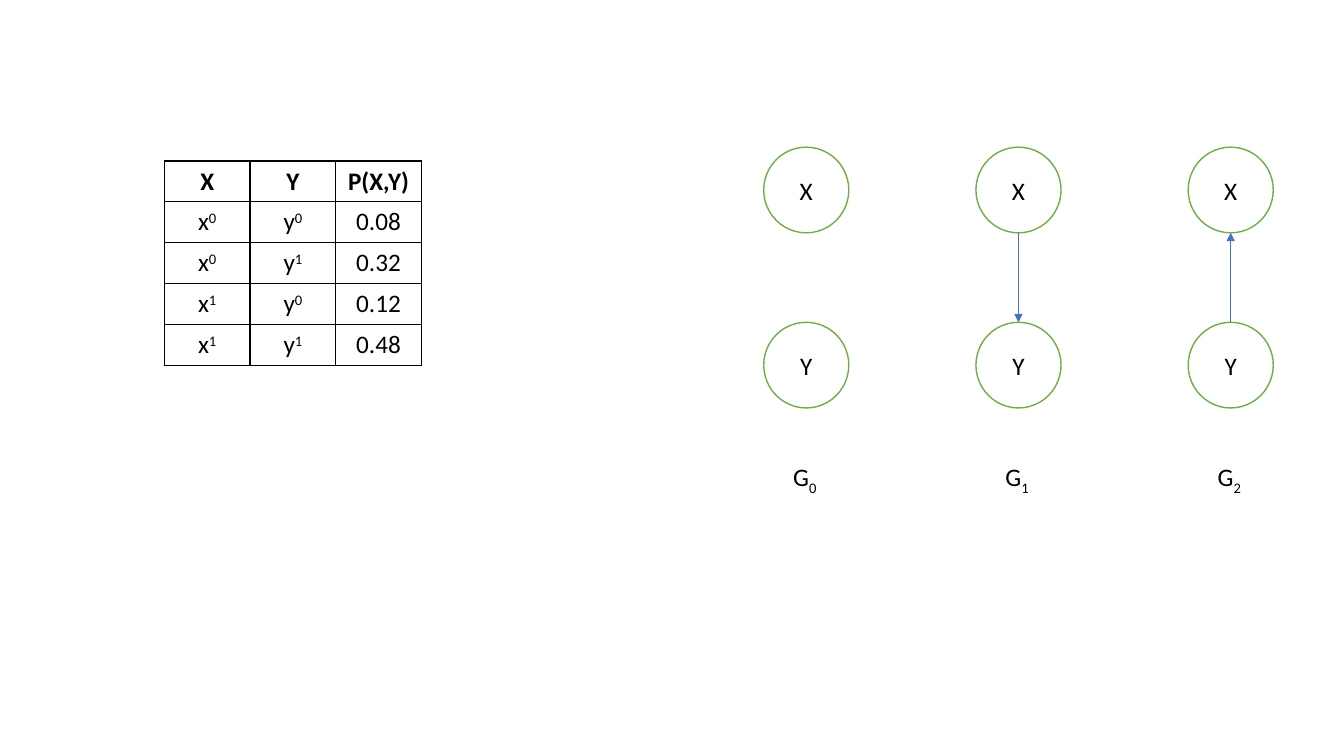
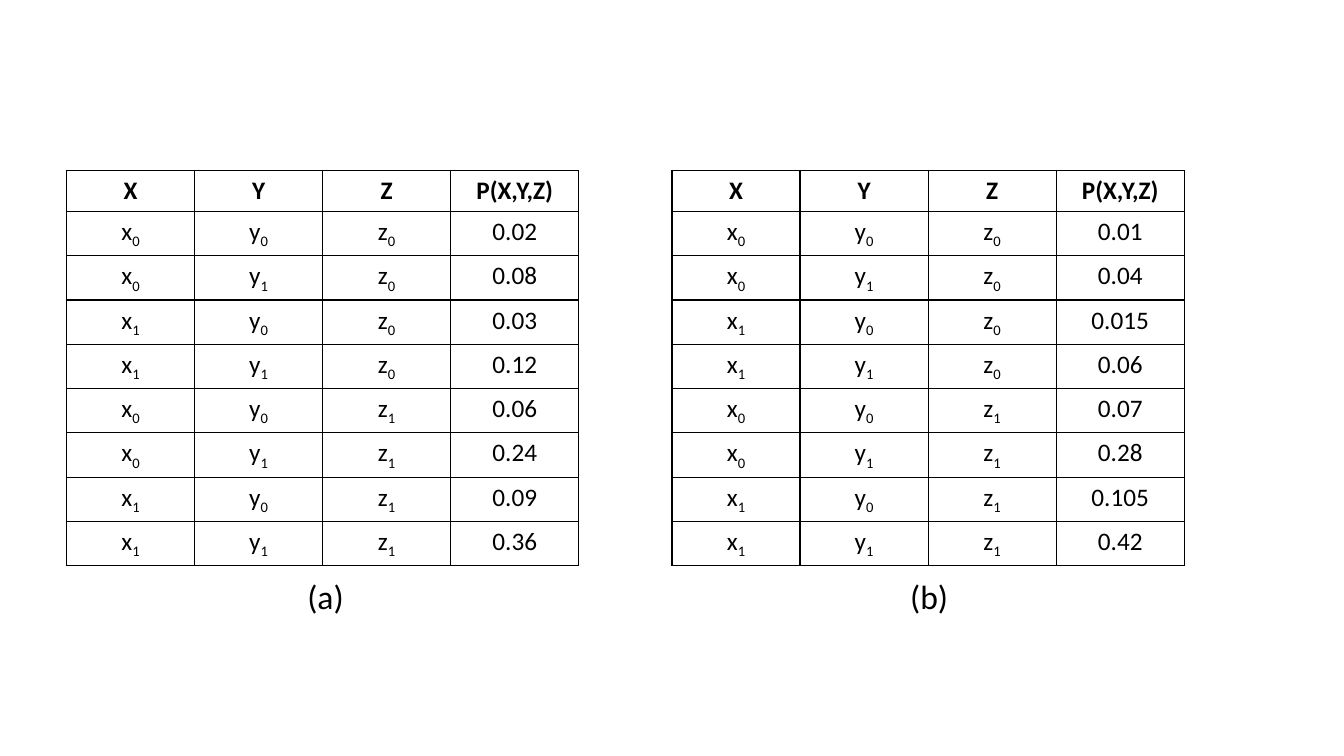
"""Build two slides of joint probability tables and small graphs."""
from itertools import product

from lxml.etree import SubElement
from pptx import Presentation
from pptx.dml.color import RGBColor
from pptx.enum.shapes import MSO_CONNECTOR, MSO_SHAPE
from pptx.enum.text import MSO_ANCHOR, MSO_AUTO_SIZE, PP_ALIGN
from pptx.oxml.ns import qn
from pptx.util import Pt

BLACK = RGBColor(0x00, 0x00, 0x00)
WHITE = RGBColor(0xFF, 0xFF, 0xFF)
GREEN = RGBColor(0x70, 0xAD, 0x47)
BLUE = RGBColor(0x44, 0x72, 0xC4)
FONT = "Calibri"
ROW_H = 29.2
SUPERSCRIPT, SUBSCRIPT = 30000, -25000


def add_runs(p, text, size=18, bold=False, baseline=SUBSCRIPT):
    """Write text, with any part after an underscore raised or lowered."""
    base, _, index = text.partition("_")
    for part, shift in ((base, 0), (index, baseline)):
        if part:
            r = p.add_run()
            r.text = part
            r.font.name, r.font.size, r.font.bold = FONT, Pt(size), bold
            r.font.color.rgb = BLACK
            if shift:
                r.font._element.set("baseline", str(shift))


def add_grid(s, left, top, col_w, rows, baseline):
    """Add a black-ruled table with a bold first row."""
    cols = len(rows[0])
    table = s.shapes.add_table(len(rows), cols, Pt(left), Pt(top),
                               Pt(col_w * cols), Pt(ROW_H * len(rows))).table
    table.first_row = table.horz_banding = False
    for col in table.columns:
        col.width = Pt(col_w)
    for i, row in enumerate(rows):
        table.rows[i].height = Pt(ROW_H)
        for j, text in enumerate(row):
            cell = table.cell(i, j)
            p = cell.text_frame.paragraphs[0]
            p.alignment = PP_ALIGN.CENTER
            add_runs(p, text, bold=i == 0, baseline=baseline)
            for side in ("a:lnL", "a:lnR", "a:lnT", "a:lnB"):
                ln = SubElement(cell._tc.get_or_add_tcPr(), qn(side), w=str(Pt(1)))
                fill = SubElement(ln, qn("a:solidFill"))
                SubElement(fill, qn("a:srgbClr"), val=str(BLACK))
            cell.fill.background()


prs = Presentation()
prs.slide_width, prs.slide_height = Pt(960), Pt(540)
graphs, joints = [prs.slides.add_slide(prs.slide_layouts[6]) for _ in range(2)]
texts = []

xy_rows = [("X", "Y", "P(X,Y)")]
for (x, y), prob in zip(product((0, 1), repeat=2), ("0.08", "0.32", "0.12", "0.48")):
    xy_rows.append((f"x_{x}", f"y_{y}", prob))
add_grid(graphs, 117.4, 115, 61.2, xy_rows, SUPERSCRIPT)

NODE_W, NODE_H = 60.8, 61.2
X_TOP, Y_TOP = 105.1, 230.2
X_BOTTOM = X_TOP + NODE_H
arrows = (None, (X_BOTTOM, Y_TOP), (Y_TOP, X_BOTTOM))
for i, arrow in enumerate(arrows):
    left = 545.5 + 151.6 * i
    for name, top in (("X", X_TOP), ("Y", Y_TOP)):
        node = graphs.shapes.add_shape(MSO_SHAPE.OVAL, Pt(left), Pt(top),
                                       Pt(NODE_W), Pt(NODE_H))
        node.shadow.inherit = False
        node.fill.solid()
        node.fill.fore_color.rgb = WHITE
        node.line.color.rgb = GREEN
        node.line.width = Pt(1)
        tf = node.text_frame
        tf.vertical_anchor = MSO_ANCHOR.MIDDLE
        tf.paragraphs[0].alignment = PP_ALIGN.CENTER
        add_runs(tf.paragraphs[0], name)
    if arrow:
        mid = Pt(left + NODE_W / 2)
        edge = graphs.shapes.add_connector(MSO_CONNECTOR.STRAIGHT, mid, Pt(arrow[0]),
                                           mid, Pt(arrow[1]))
        edge.line.color.rgb = BLUE
        edge.line.width = Pt(0.5)
        SubElement(edge.line._get_or_add_ln(), qn("a:tailEnd"), type="triangle")
        SubElement(edge._element.spPr, qn("a:effectLst"))
    texts.append((graphs, f"G_{i}", left + 14, 326.2, 32.4, 29.1, 18))

tables = (
    ("(a)", 47.5, 212.4, ("0.02", "0.08", "0.03", "0.12", "0.06", "0.24", "0.09", "0.36")),
    ("(b)", 480, 643, ("0.01", "0.04", "0.015", "0.06", "0.07", "0.28", "0.105", "0.42")),
)
for caption, left, caption_left, probs in tables:
    xyz_rows = [("X", "Y", "Z", "P(X,Y,Z)")]
    for (z, x, y), prob in zip(product((0, 1), repeat=3), probs):
        xyz_rows.append((f"x_{x}", f"y_{y}", f"z_{z}", prob))
    add_grid(joints, left, 121.8, 91.5, xyz_rows, SUBSCRIPT)
    texts.append((joints, caption, caption_left, 407.6, 41.4, 36.3, 24))

for s, text, left, top, width, height, size in texts:
    tf = s.shapes.add_textbox(Pt(left), Pt(top), Pt(width), Pt(height)).text_frame
    tf.word_wrap = False
    tf.auto_size = MSO_AUTO_SIZE.SHAPE_TO_FIT_TEXT
    add_runs(tf.paragraphs[0], text, size)

prs.save("out.pptx")
